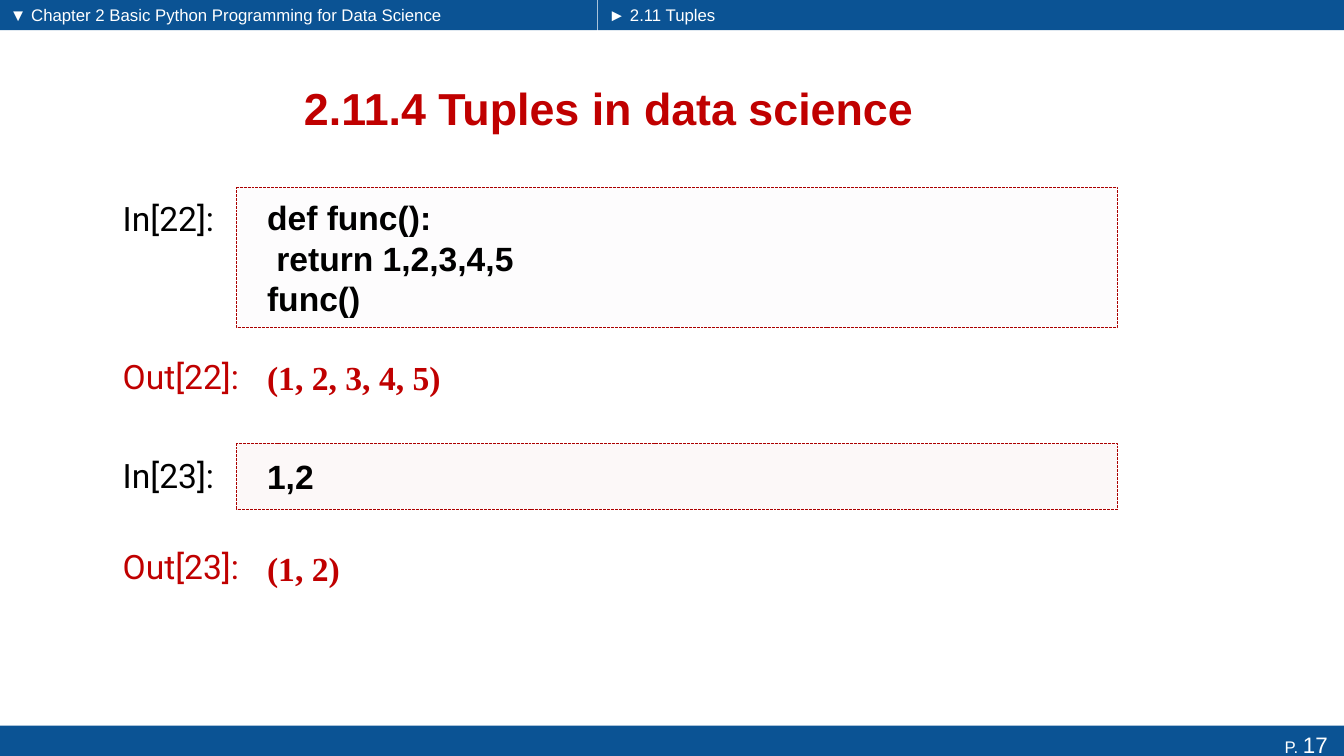
from lxml.etree import SubElement
from pptx import Presentation
from pptx.dml.color import RGBColor
from pptx.enum.dml import MSO_LINE as Dash
from pptx.enum.shapes import MSO_SHAPE as Shape
from pptx.enum.text import MSO_ANCHOR as Anchor, PP_ALIGN as Align
from pptx.oxml.ns import qn
from pptx.util import Pt

BLUE, RED, BLACK, WHITE = "0B5394", "C00000", "000000", "FFFFFF"
rgb = RGBColor.from_string

deck = Presentation()
deck.slide_width, deck.slide_height = Pt(960), Pt(540)
slide = deck.slides.add_slide(deck.slide_layouts[6])


def add_box(x, y, w, h, fill=None):
    """Add a plain rectangle, or a text box when there is no fill."""
    area = Pt(x), Pt(y), Pt(w), Pt(h)
    if fill is None:
        return slide.shapes.add_textbox(*area)
    box = slide.shapes.add_shape(Shape.RECTANGLE, *area)
    box.shadow.inherit = False
    box.fill.solid()
    box.fill.fore_color.rgb = rgb(fill)
    box.line.fill.background()
    return box


def write(box, text, size, color, face="Arial", bold=False,
          align=Align.LEFT, anchor=Anchor.TOP, inset=7.2):
    """Write one paragraph per line of text."""
    frame = box.text_frame
    frame.word_wrap = True
    frame.vertical_anchor = anchor
    frame.margin_left = Pt(inset)
    frame.text = text
    for para in frame.paragraphs:
        para.alignment = align
        font = para.font
        font.size, font.name, font.bold = Pt(size), face, bold
        font.color.rgb = rgb(color)


# Header bars and their captions
add_box(0, 0, 426.7, 21.6, BLUE)
add_box(427.2, 0, 532.8, 21.6, BLUE)
write(add_box(0, 0, 348, 21), "▼ Chapter 2 Basic Python Programming for Data Science", 12, WHITE)
write(add_box(427.7, 0, 171, 21), "► 2.11 Tuples", 12, WHITE)

# Footer with page number
foot = add_box(0, 518.4, 960, 26.6, BLUE)
write(foot, "P. ", 12, WHITE, align=Align.RIGHT)
foot.text_frame.margin_right = Pt(11.6)
page = foot.text_frame.paragraphs[0].add_run()
page.text = "17"
page.font.size = Pt(16)

# Title
write(add_box(49, 44.6, 772, 64.8), "2.11.4 Tuples in data science", 32, RED,
      bold=True, align=Align.CENTER, anchor=Anchor.MIDDLE)

# Code cells: label, text, top, height, fill (None for output)
cells = [
    ("In[22]:", "def func():\n return 1,2,3,4,5\nfunc()", 133.9, 100.1, "F1EEF4"),
    ("Out[22]:", "(1, 2, 3, 4, 5)", 246.2, 46.8, None),
    ("In[23]:", "1,2", 316.8, 46.8, "EDCDCB"),
    ("Out[23]:", "(1, 2)", 382.3, 46.8, None),
]
for label, text, top, high, fill in cells:
    color, face = (BLACK, "Arial") if fill else (RED, "Times New Roman")
    write(add_box(80.6, top + 4.3, 88.6 if fill else 110.9, 36), label, 24, color, "Roboto")
    cell = add_box(169.2, top, 629.3, high, fill)
    write(cell, text, 24, color, face, bold=True, anchor=Anchor.MIDDLE, inset=21.6)
    if fill:
        tint = cell.fill._xPr.find(qn("a:solidFill"))[0]
        SubElement(tint, qn("a:alpha"), val="13000")
        cell.line.color.rgb = rgb("AB0000")
        cell.line.width = Pt(0.7)
        cell.line.dash_style = Dash.SQUARE_DOT

deck.save("out.pptx")
